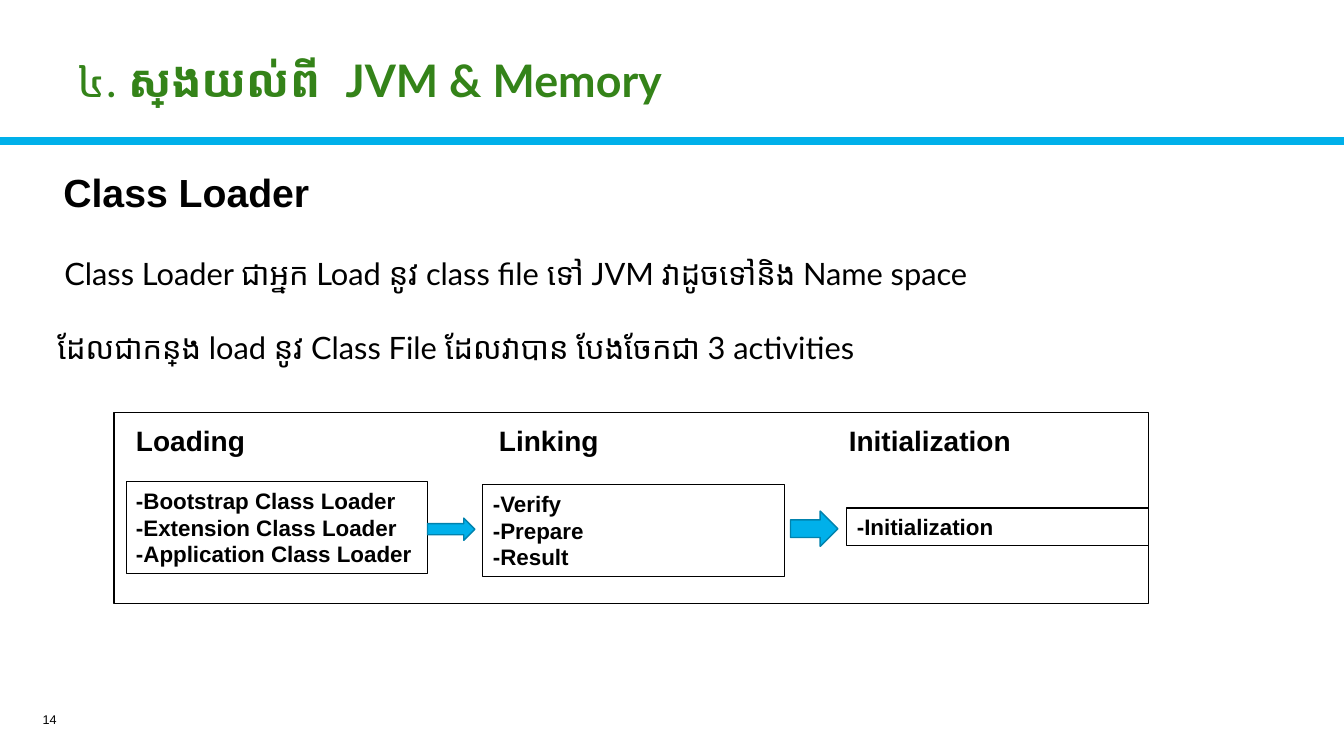
"""Build the class loader slide with its three activities."""
from lxml import etree
from pptx import Presentation
from pptx.dml.color import RGBColor
from pptx.enum.shapes import MSO_CONNECTOR, MSO_SHAPE
from pptx.enum.text import MSO_ANCHOR, PP_ALIGN
from pptx.oxml.ns import qn
from pptx.util import Inches, Pt

BLACK = RGBColor(0x00, 0x00, 0x00)
WHITE = RGBColor(0xFF, 0xFF, 0xFF)
GREEN = RGBColor(0x34, 0x83, 0x19)
BLUE = RGBColor(0x00, 0xB0, 0xEA)
NAVY = RGBColor(0x00, 0x82, 0xAD)
RECT, ARROW = MSO_SHAPE.RECTANGLE, MSO_SHAPE.RIGHT_ARROW
LINE = MSO_CONNECTOR.STRAIGHT
TOP, MIDDLE = MSO_ANCHOR.TOP, MSO_ANCHOR.MIDDLE
LEFT, RIGHT = PP_ALIGN.LEFT, PP_ALIGN.RIGHT

deck = Presentation()
deck.slide_width, deck.slide_height = Inches(13.33), Inches(7.5)
slide = deck.slides.add_slide(deck.slide_layouts[6])
shapes = slide.shapes


def write(shape, rows, size, font="Arial", color=BLACK, align=LEFT, anchor=TOP):
    """Fill a shape with rows, each a list of (text, bold) runs."""
    frame = shape.text_frame
    frame.word_wrap = True
    frame.vertical_anchor = anchor
    for i, row in enumerate(rows):
        para = frame.add_paragraph() if i else frame.paragraphs[0]
        para.alignment = align
        for text, bold in row:
            run = para.add_run()
            run.text = text
            run.font.name, run.font.size = font, Pt(size)
            run.font.bold, run.font.color.rgb = bold, color
    return frame


def draw(kind, box, fill, edge, width):
    """Add a flat preset shape at box, given in inches."""
    shape = shapes.add_shape(kind, *map(Inches, box))
    shape.shadow.inherit = False
    if fill is None:
        shape.fill.background()
    else:
        shape.fill.solid()
        shape.fill.fore_color.rgb = fill
    shape.line.color.rgb, shape.line.width = edge, Pt(width)
    return shape


rule = shapes.add_connector(LINE, 0, Inches(1.4), deck.slide_width, Inches(1.4))
rule.line.color.rgb, rule.line.width = BLUE, Pt(6)
etree.SubElement(rule._element.spPr, qn("a:effectLst"))

number = shapes.add_textbox(Inches(0.09), Inches(6.99), Inches(0.57), Inches(0.3))
write(number, [[("14", False)]], 9, align=RIGHT, anchor=MIDDLE)

title = shapes.add_textbox(Inches(0.67), Inches(0.27), Inches(12.02), Inches(1.11))
frame = write(title, [[("៤. ", False), ("ស្វែងយល់ពី  JVM & Memory", True)]],
              32, "Lato", GREEN, anchor=MIDDLE)
frame.paragraphs[0].line_spacing = 0.9

head = shapes.add_textbox(Inches(0.53), Inches(1.62), Inches(2.71), Inches(0.57))
write(head, [[("Class Loader", True)]], 28)

body = shapes.add_textbox(Inches(0.47), Inches(2.48), Inches(10.59), Inches(1.21))
frame = write(body, [
    [("Class Loader ជាអ្នក Load នូវ class file ទៅ JVM វាដូចទៅនិង Name space", False)],
    [("ដែលជាកន្លែង load នូវ Class File ដែលវាបាន បែងចែកជា 3 activities", False)],
], 22, "Lato")
first, second = frame.paragraphs
first._p.get_or_add_pPr().set("indent", str(Inches(0.07)))
second.space_before = Pt(26.4)

draw(RECT, (1.13, 4.09, 10.26, 1.9), None, BLACK, 1)

stages = [
    ("Loading", 1.25, 1.25, 4.78, 0.91,
     ["-Bootstrap Class Loader", "-Extension Class Loader", "-Application Class Loader"]),
    ("Linking", 4.85, 4.79, 4.81, 0.91, ["-Verify", "-Prepare", "-Result"]),
    ("Initialization", 8.32, 8.4, 5.04, 0.37, ["-Initialization"]),
]
for name, label_x, x, y, height, steps in stages:
    label = shapes.add_textbox(Inches(label_x), Inches(4.15), Inches(2.71), Inches(0.44))
    write(label, [[(name, True)]], 20)
    card = draw(RECT, (x, y, 2.99, height), WHITE, BLACK, 0.75)
    write(card, [[(step, True)] for step in steps], 16)

for x, y, height in [(4.24, 5.14, 0.22), (7.84, 5.07, 0.35)]:
    draw(ARROW, (x, y, 0.47, height), BLUE, NAVY, 1)

deck.save("out.pptx")
